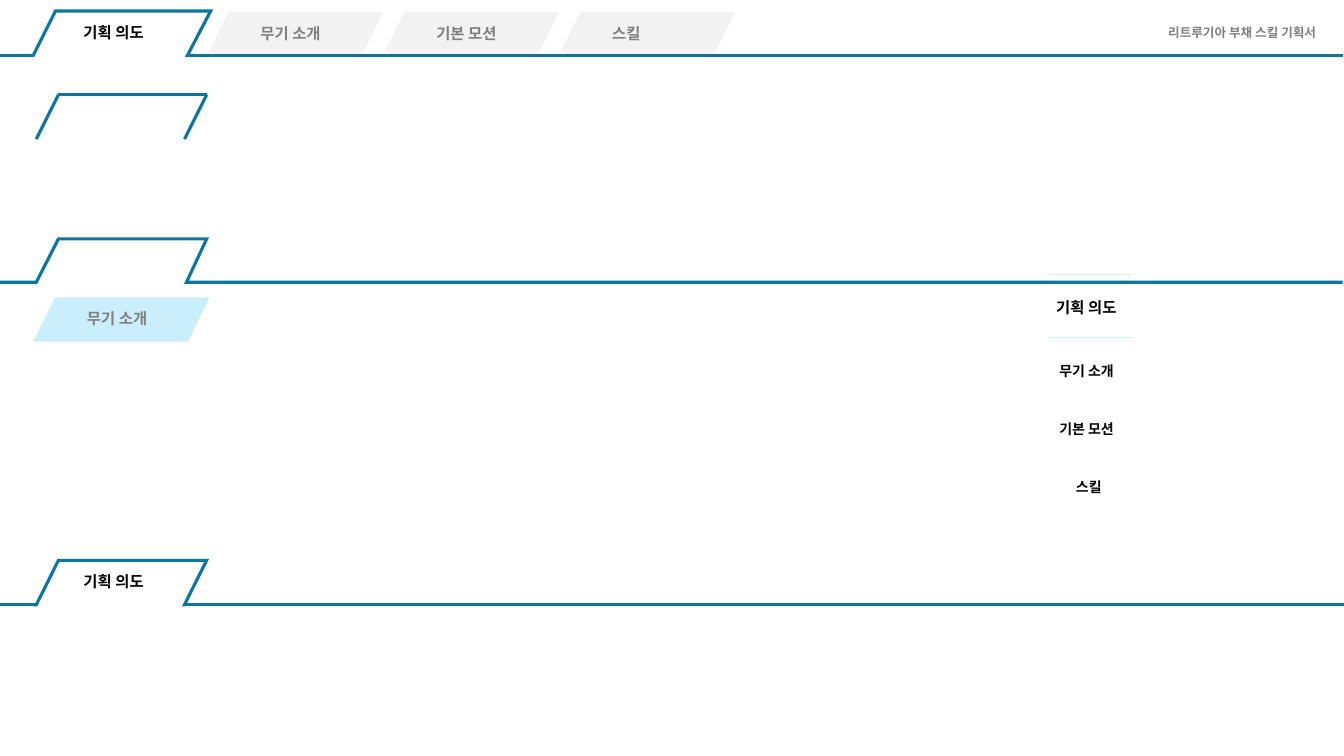
"""Build the sheet of tab bars and menu labels for a skill planning document."""
from dataclasses import dataclass

from lxml import etree
from pptx import Presentation
from pptx.dml.color import RGBColor
from pptx.enum.shapes import MSO_CONNECTOR, MSO_SHAPE
from pptx.enum.text import MSO_AUTO_SIZE
from pptx.oxml.ns import qn
from pptx.util import Inches, Pt

STRAIGHT = MSO_CONNECTOR.STRAIGHT
PARALLELOGRAM = MSO_SHAPE.PARALLELOGRAM
GROW = MSO_AUTO_SIZE.SHAPE_TO_FIT_TEXT
CELL = Inches(0.1)
COLUMNS, ROWS = 133.33, 75


@dataclass(frozen=True)
class Theme:
    font: str = "Noto Sans CJK KR"
    accent: str = "0B76A0"
    pale: str = "CAEEFB"
    idle: str = "F2F2F2"
    paper: str = "FFFFFF"
    ink: str = "000000"
    muted: str = "808080"
    title_size: float = 11
    item_size: float = 10
    note_size: float = 9
    frame_width: float = 2.25
    divider_width: float = 0.75


@dataclass(frozen=True)
class Label:
    words: str
    col: float
    row: float
    width: float
    height: float = 2.9
    size: float = Theme.title_size
    color: str = Theme.ink
    fill: str | None = None


@dataclass(frozen=True)
class Tab:
    words: str
    col: float
    row: float
    label_width: float
    fill: str


@dataclass(frozen=True)
class Stroke:
    start: tuple[float, float]
    end: tuple[float, float]
    color: str = Theme.accent
    width: float = Theme.frame_width


@dataclass(frozen=True)
class Outline:
    points: tuple[tuple[float, float], ...]
    closed: bool = False
    fill: str | None = None


THEME = Theme()
TAB_START, TAB_PITCH, TAB_WIDTH, TAB_HEIGHT = 20.5, 17.45, 17.5, 4.4
IDLE_TABS = [
    Tab(words, TAB_START + TAB_PITCH * place, 1.2, width, THEME.idle)
    for place, (words, width) in enumerate([("무기 소개", 8.7), ("기본 모션", 8.7), ("스킬", 5.1)])
]
PALE_TAB = Tab("무기 소개", 3.3, 29.5, 8.7, THEME.pale)
MENU_ROW, MENU_PITCH, MENU_CENTER = 35.5, 5.75, 108.15
MENU_ITEMS = [
    Label(words, MENU_CENTER - width / 2, MENU_ROW + MENU_PITCH * place, width, 2.7, THEME.item_size)
    for place, (words, width) in enumerate([("무기 소개", 8.1), ("기본 모션", 8.1), ("스킬", 4.8)])
]
LABELS = [
    Label("기획 의도", 7.3, 1.8, 8.7),
    Label("기획 의도", 103.8, 29.1, 8.7),
    *MENU_ITEMS,
    Label("리트루기아 부채 스킬 기획서", 114.9, 2, 18.5, 2.5, THEME.note_size, THEME.muted),
]
DIVIDERS = [
    Stroke((104.1, row), (112.3, row), THEME.pale, THEME.divider_width) for row in (27.2, 33.5)
]
OPEN_TAB = [
    Stroke((3.6, 13.8), (5.8, 9.4)),
    Stroke((20.5, 9.4), (5.8, 9.4)),
    Stroke((20.5, 9.4), (18.3, 13.8)),
]
FULL_BAR = Outline(((0, 28), (3.6, 28), (5.8, 23.7), (20.5, 23.7), (18.5, 28), (133.2, 28)))
LOWER_BASE = [Stroke((3.6, 60), (0, 60)), Stroke((COLUMNS, 60), (18.3, 60))]
LOWER_TAB = Outline(((5.8, 55.6), (20.5, 55.6), (18.3, 60), (3.6, 60)), True, THEME.paper)
LOWER_LABEL = Label("기획 의도", 7.3, 56.3, 8.7)
TOP_TAB = Outline(((2.5, 5.5), (3.3, 5.5), (5.5, 1.1), (20.9, 1.1), (18.6, 5.5), (19.4, 5.5)))
TOP_BASE = [Stroke((3.3, 5.5), (0, 5.5)), Stroke((133.2, 5.5), (18.6, 5.5))]


def grid(*cells: float) -> list[int]:
    """Turn grid cells into lengths."""
    return [round(cell * CELL) for cell in cells]


def rgb(color: str) -> RGBColor:
    """Turn a theme colour into an RGB value."""
    return RGBColor.from_string(color)


def draw_label(shapes, label: Label) -> None:
    """Place one line of bold text."""
    box = shapes.add_textbox(*grid(label.col, label.row, label.width, label.height))
    if label.fill:
        box.fill.solid()
        box.fill.fore_color.rgb = rgb(label.fill)
    frame = box.text_frame
    frame.text = label.words
    frame.word_wrap = False
    frame.auto_size = GROW
    run = frame.paragraphs[0].runs[0]
    run.font.size = Pt(label.size)
    run.font.bold = True
    run.font.color.rgb = rgb(label.color)
    run.font.name = THEME.font
    east_asian = etree.SubElement(run.font._element, qn("a:ea"))
    east_asian.set("typeface", THEME.font)


def draw_slant(shapes, col: float, row: float, width: float, height: float, fill: str) -> None:
    """Place a borderless parallelogram."""
    slant = shapes.add_shape(PARALLELOGRAM, *grid(col, row, width, height))
    slant.adjustments[0] = 0.49
    slant.shadow.inherit = False
    slant.fill.solid()
    slant.fill.fore_color.rgb = rgb(fill)
    slant.line.fill.background()


def draw_tab(shapes, tab: Tab) -> None:
    """Group a slanted tab with its label."""
    members = shapes.add_group_shape().shapes
    draw_slant(members, tab.col, tab.row, TAB_WIDTH, TAB_HEIGHT, tab.fill)
    draw_label(members, Label(tab.words, tab.col + 4.35, tab.row + 0.7, tab.label_width,
                              color=THEME.muted, fill=tab.fill))


def draw_stroke(shapes, stroke: Stroke) -> None:
    """Draw a straight line without a shadow."""
    line = shapes.add_connector(STRAIGHT, *grid(*stroke.start, *stroke.end))
    line.line.color.rgb = rgb(stroke.color)
    line.line.width = Pt(stroke.width)
    etree.SubElement(line._element.spPr, qn("a:effectLst"))


def draw_outline(shapes, outline: Outline) -> None:
    """Draw a tab frame with sharp corners."""
    first, *others = [tuple(grid(*point)) for point in outline.points]
    builder = shapes.build_freeform(*first)
    builder.add_line_segments(others, close=outline.closed)
    frame = builder.convert_to_shape()
    frame.shadow.inherit = False
    if outline.fill:
        frame.fill.solid()
        frame.fill.fore_color.rgb = rgb(outline.fill)
    else:
        frame.fill.background()
    frame.line.color.rgb = rgb(THEME.accent)
    frame.line.width = Pt(THEME.frame_width)
    etree.SubElement(frame.line._get_or_add_ln(), qn("a:miter")).set("lim", "800000")


def main() -> None:
    """Build and save the slide."""
    deck = Presentation()
    deck.slide_width, deck.slide_height = grid(COLUMNS, ROWS)
    shapes = deck.slides.add_slide(deck.slide_layouts[6]).shapes
    for tab in IDLE_TABS:
        draw_tab(shapes, tab)
    for label in LABELS:
        draw_label(shapes, label)
    for stroke in DIVIDERS + OPEN_TAB:
        draw_stroke(shapes, stroke)
    draw_outline(shapes, FULL_BAR)
    for stroke in LOWER_BASE:
        draw_stroke(shapes, stroke)
    draw_outline(shapes, LOWER_TAB)
    draw_label(shapes, LOWER_LABEL)
    draw_slant(shapes, 3.4, 59.6, 14.9, 1.2, THEME.paper)
    draw_tab(shapes, PALE_TAB)
    draw_outline(shapes, TOP_TAB)
    for stroke in TOP_BASE:
        draw_stroke(shapes, stroke)
    deck.save("out.pptx")


if __name__ == "__main__":
    main()
